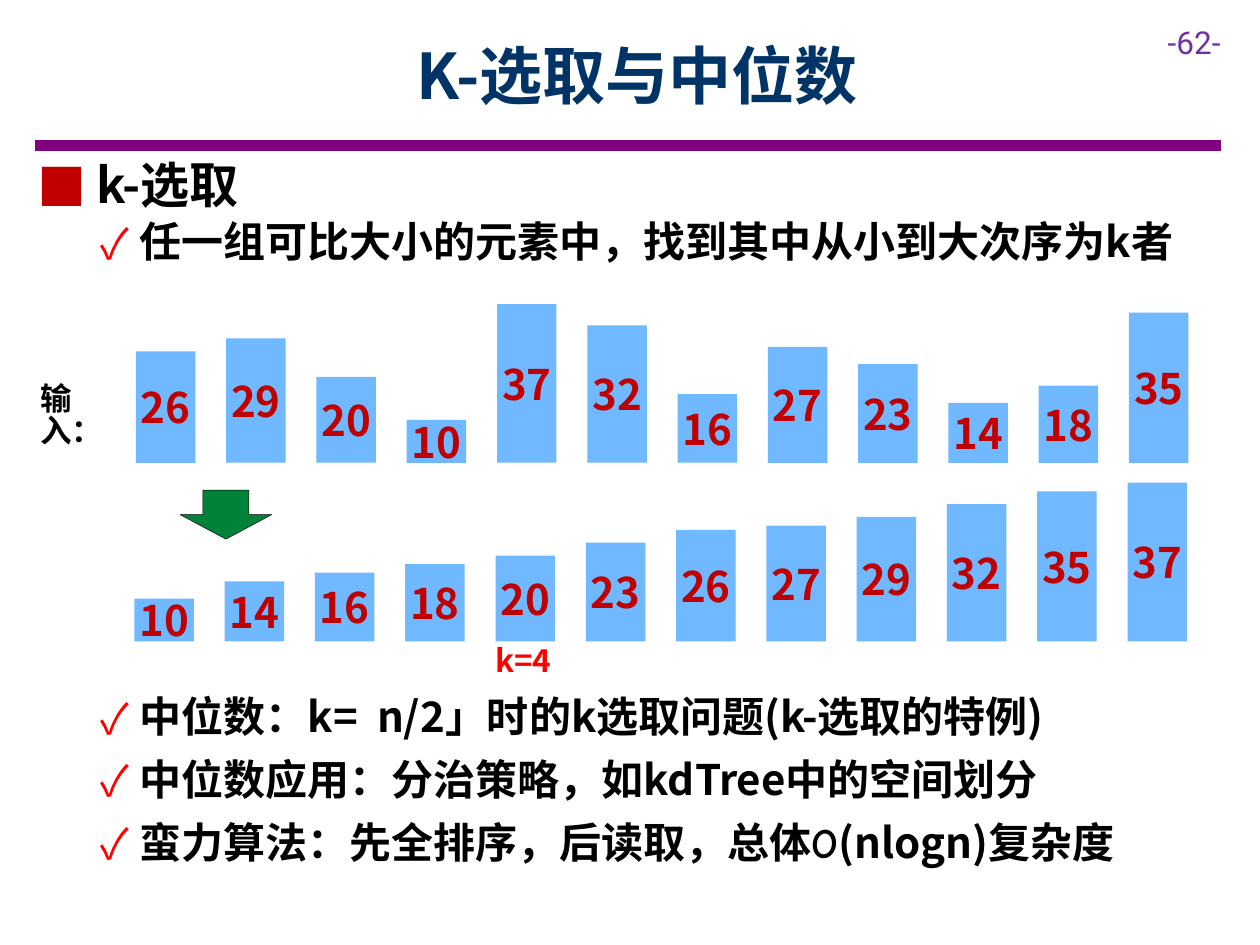
from dataclasses import dataclass
from typing import NamedTuple

from lxml import etree
from pptx import Presentation
from pptx.dml.color import RGBColor
from pptx.enum import shapes as kinds, text as txt
from pptx.oxml.ns import qn
from pptx.util import Cm, Pt


@dataclass(frozen=True)
class Theme:
    font: str = "Noto Sans CJK SC"
    page_font: str = "Roboto"
    big_o: str = "Comic Neue"
    navy: str = "003366"
    rule: str = "800080"
    page: str = "7030A0"
    ink: str = "000000"
    bar: str = "70B8FF"
    dark_red: str = "C00000"
    red: str = "FF0000"
    green: str = "00823B"
    title: int = 36
    head: int = 28
    body: int = 24
    small: int = 18
    lead: float = 0.83


class Box(NamedTuple):
    left: float
    top: float
    width: float
    height: float

    def cm(self) -> list:
        return [Cm(side) for side in self]


class Bullet(NamedTuple):
    mark: str
    color: str
    left: float
    hang: float


class Row(NamedTuple):
    left: float
    base: float
    values: list


T = Theme()
SQUARE = Bullet("■", T.dark_red, 1.19, 1.19)
CHECK = Bullet("✓", T.red, 2.06, 0.79)

# Bar geometry in cm: the highest value is TALL high
PITCH, WIDE, TALL = 1.82, 1.2, 3.2
INPUT = [26, 29, 20, 10, 37, 32, 16, 27, 23, 14, 18, 35]


def rgb(code: str) -> RGBColor:
    return RGBColor.from_string(code)


def add_mark(para, mark: Bullet) -> None:
    """Give a paragraph its bullet and hanging indent."""
    props = para._p.get_or_add_pPr()
    props.set("marL", str(Cm(mark.left)))
    props.set("indent", str(-Cm(mark.hang)))
    color = etree.SubElement(props, qn("a:buClr"))
    etree.SubElement(color, qn("a:srgbClr"), val=mark.color)
    etree.SubElement(props, qn("a:buFont"), typeface=T.font)
    etree.SubElement(props, qn("a:buChar"), char=mark.mark)


def write(frame, words, *, size=T.body, color=T.ink, font=T.font, bold=True,
          align=None, mark=None, before=0, after=0, lead=T.lead, more=False):
    """Write one paragraph; words is a string or a list of (string, font)."""
    para = frame.add_paragraph() if more else frame.paragraphs[0]
    if mark:
        add_mark(para, mark)
    para.alignment = align
    para.line_spacing = lead
    para.space_before, para.space_after = Pt(before), Pt(after)
    for part, face in [(words, font)] if isinstance(words, str) else words:
        run = para.add_run()
        run.text = part
        run.font.size, run.font.bold = Pt(size), bold
        run.font.name = face
        run.font.color.rgb = rgb(color)
        etree.SubElement(run._r.get_or_add_rPr(), qn("a:ea"), typeface=face)


def add_box(slide, box: Box, wrap: bool = True, middle: bool = False):
    frame = slide.shapes.add_textbox(*box.cm()).text_frame
    frame.word_wrap = wrap
    if middle:
        frame.vertical_anchor = txt.MSO_ANCHOR.MIDDLE
    return frame


def add_form(slide, kind, box: Box, fill: str):
    form = slide.shapes.add_shape(kind, *box.cm())
    form.shadow.inherit = False
    form.fill.solid()
    form.fill.fore_color.rgb = rgb(fill)
    form.line.fill.background()
    return form


def add_bars(slide, row: Row) -> None:
    """Draw numbered bars that stand on one base line."""
    for i, value in enumerate(row.values):
        high = TALL * value / max(row.values)
        box = Box(row.left + i * PITCH, row.base - high, WIDE, high)
        bar = add_form(slide, kinds.MSO_SHAPE.RECTANGLE, box, T.bar)
        frame = bar.text_frame
        frame.margin_left = frame.margin_right = 0
        frame.margin_top = frame.margin_bottom = Cm(0.25)
        frame.vertical_anchor = txt.MSO_ANCHOR.MIDDLE
        write(frame, str(value), color=T.dark_red, lead=1.0,
              align=txt.PP_ALIGN.CENTER)


def main() -> None:
    deck = Presentation()
    deck.slide_width, deck.slide_height = Cm(25.4), Cm(19.05)
    slide = deck.slides.add_slide(deck.slide_layouts[6])

    # Title, page number and rule
    rule = slide.shapes.add_connector(
        kinds.MSO_CONNECTOR.STRAIGHT, Cm(0.7), Cm(2.93), Cm(24.61), Cm(2.93))
    rule.line.color.rgb, rule.line.width = rgb(T.rule), Pt(6)
    etree.SubElement(rule._element.spPr, qn("a:effectLst"))
    write(add_box(slide, Box(23.29, 0.33, 2.11, 1.02), wrap=False), "-62-",
          size=T.small, color=T.page, font=T.page_font, bold=False, lead=1.0)
    write(add_box(slide, Box(2.29, 0.23, 21.11, 2.54), middle=True),
          "K-选取与中位数", size=T.title, color=T.navy, lead=1.0,
          align=txt.PP_ALIGN.CENTER)

    # Definition
    top = add_box(slide, Box(0.51, 3.2, 24, 2.7))
    write(top, "k-选取", size=T.head, mark=SQUARE, after=6)
    write(top, "任一组可比大小的元素中，找到其中从小到大次序为k者",
          mark=CHECK, more=True)

    # Input and sorted bars
    add_bars(slide, Row(2.74, 9.33, INPUT))
    add_bars(slide, Row(2.71, 12.93, sorted(INPUT)))
    write(add_box(slide, Box(0.56, 7.65, 1.27, 1.8)), "输入：", size=T.small)
    write(add_box(slide, Box(9.73, 12.93, 1.8, 1.02), wrap=False), "k=4",
          size=T.small, color=T.red)
    arrow = add_form(slide, kinds.MSO_SHAPE.DOWN_ARROW,
                     Box(3.63, 9.88, 1.85, 0.99), T.green)
    arrow.line.color.rgb, arrow.line.width = rgb(T.ink), Pt(0.25)

    # Median notes
    notes = [
        "中位数：k=  n/2」时的k选取问题(k-选取的特例)",
        "中位数应用：分治策略，如kdTree中的空间划分",
        [("蛮力算法：先全排序，后读取，总体", T.font), ("O", T.big_o),
         ("(nlogn)复杂度", T.font)],
    ]
    low = add_box(slide, Box(0.51, 13.97, 24, 4.2))
    for i, note in enumerate(notes):
        write(low, note, mark=CHECK, before=12 if i else 0, more=i > 0)

    deck.save("out.pptx")


if __name__ == "__main__":
    main()
